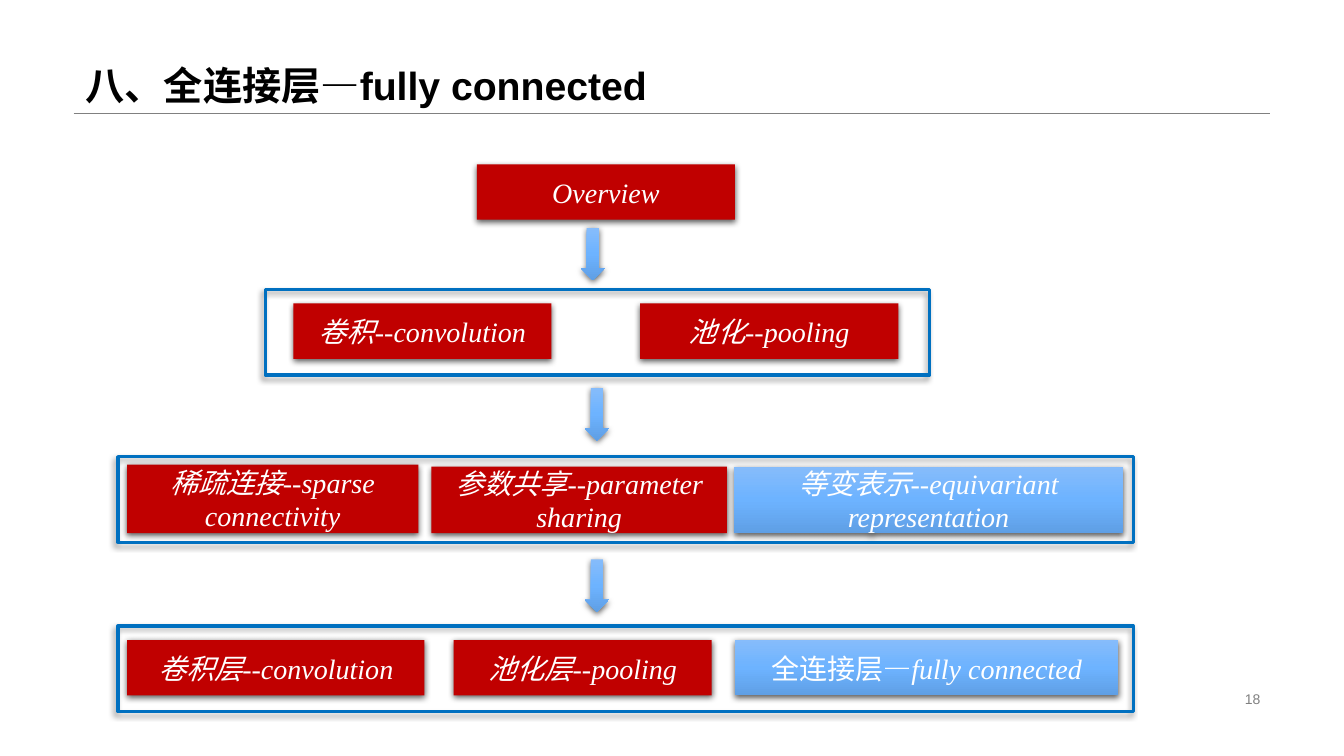
from lxml import etree
from pptx import Presentation
from pptx.dml.color import RGBColor
from pptx.enum.shapes import MSO_CONNECTOR, MSO_SHAPE
from pptx.enum.text import MSO_ANCHOR, PP_ALIGN
from pptx.oxml import parse_xml
from pptx.oxml.ns import nsdecls, qn
from pptx.util import Pt

PX = 9144  # 100 px to the inch
RED, FRAME_BLUE, GREY = "C00000", "0070C0", "808080"
SKY = None  # gradient fill
SKY_STOPS = [(0, "86BCFB"), (50, "6DB3FF"), (100, "5F9FE5")]
BOX_SHADOW = (63, 4.5, 1.5, 90)
FRAME_SHADOW = (40, 4, 3, 135)


def rgb(color):
    return RGBColor.from_string(color)


def add_block(kind, bounds, color, shadow):
    """Add a shape with a solid or sky-gradient fill, no line and an outer shadow."""
    block = slide.shapes.add_shape(kind, *[n * PX for n in bounds])
    if color is SKY:
        block.fill.gradient()
        block.fill.gradient_angle = 270
        stops = "".join(
            f'<a:gs pos="{at * 1000}"><a:srgbClr val="{stop}"/></a:gs>' for at, stop in SKY_STOPS)
        old_stops = next(block.element.spPr.iter(qn("a:gsLst")))
        old_stops.getparent().replace(
            old_stops, parse_xml(f'<a:gsLst {nsdecls("a")}>{stops}</a:gsLst>'))
    else:
        block.fill.solid()
        block.fill.fore_color.rgb = rgb(color)
    block.line.fill.background()
    block.shadow.inherit = False
    opacity, blur, distance, angle = shadow
    block.element.spPr.find(qn("a:effectLst")).append(parse_xml(
        f'<a:outerShdw {nsdecls("a")} blurRad="{Pt(blur)}" dist="{Pt(distance)}" '
        f'dir="{angle * 60000}" rotWithShape="0"><a:srgbClr val="000000">'
        f'<a:alpha val="{opacity * 1000}"/></a:srgbClr></a:outerShdw>'))
    return block


deck = Presentation()
deck.slide_width, deck.slide_height = 1333 * PX, 750 * PX
slide = deck.slides.add_slide(deck.slide_layouts[5])

rule = slide.shapes.add_connector(
    MSO_CONNECTOR.STRAIGHT, 73 * PX, 112 * PX, 1260 * PX, 112 * PX)
rule.line.color.rgb = rgb(GREY)
rule.line.width = Pt(0.25)
etree.SubElement(rule.element.spPr, qn("a:effectLst"))

title = slide.shapes.title
title.left, title.top, title.width, title.height = [n * PX for n in (75, 1, 1187, 112)]
title.text_frame.text = "八、全连接层—fully connected"
title.text_frame.vertical_anchor = MSO_ANCHOR.BOTTOM
para = title.text_frame.paragraphs[0]
para.alignment = PP_ALIGN.LEFT
para.line_spacing = 0.9
para.font.name, para.font.size, para.font.bold = "Arial", Pt(28), True
para.font.color.rgb = rgb("000000")

# Bounds, fill and spans of each box; a span is (text, italic)
boxes = [
    ((473, 163, 256, 55), RED, [("Overview", True)]),
    ((291, 301, 256, 55), RED, [("卷积--convolution", True)]),
    ((635, 301, 256, 55), RED, [("池化--pooling", True)]),
    ((126, 461, 289, 68), RED, [("稀疏连接--sparse connectivity", True)]),
    ((428, 463, 293, 66), RED, [("参数共享--parameter sharing", True)]),
    ((728, 463, 386, 66), SKY, [("等变表示--equivariant representation", True)]),
    ((126, 635, 295, 55), RED, [("卷积层--convolution", True)]),
    ((450, 635, 256, 55), RED, [("池化层--pooling", True)]),
    ((729, 635, 380, 55), SKY, [("全连接层—", False), ("fully connected", True)]),
]
for bounds, color, spans in boxes:
    box = add_block(MSO_SHAPE.RECTANGLE, bounds, color, BOX_SHADOW)
    box.text_frame.word_wrap = True
    box.text_frame.vertical_anchor = MSO_ANCHOR.MIDDLE
    para = box.text_frame.paragraphs[0]
    para.alignment = PP_ALIGN.CENTER
    para.font.size = Pt(20)
    para.font.color.rgb = rgb("FFFFFF")
    for text, italic in spans:
        span = para.add_run()
        span.text = text
        span.font.name = "Times New Roman" if italic else "Arial"
        span.font.italic = italic

for left, top in [(576, 226), (580, 385), (580, 555)]:
    add_block(MSO_SHAPE.DOWN_ARROW, (left, top, 24, 52), SKY, BOX_SHADOW)

for left, top, width in [(263, 287, 659), (117, 453, 1007), (117, 621, 1007)]:
    frame = add_block(MSO_SHAPE.RECTANGLE, (left, top, width, 85), FRAME_BLUE, FRAME_SHADOW)
    frame.fill.background()
    frame.line.color.rgb = rgb(FRAME_BLUE)
    frame.line.width = Pt(2.25)

number = slide.shapes.add_textbox(*[n * PX for n in (942, 682, 318, 23)])
number.text_frame.word_wrap = True
number.text_frame.vertical_anchor = MSO_ANCHOR.MIDDLE
para = number.text_frame.paragraphs[0]
para.text = "18"
para.alignment = PP_ALIGN.RIGHT
para.font.name, para.font.size = "Arial", Pt(10)
para.font.color.rgb = rgb(GREY)

deck.save("out.pptx")
